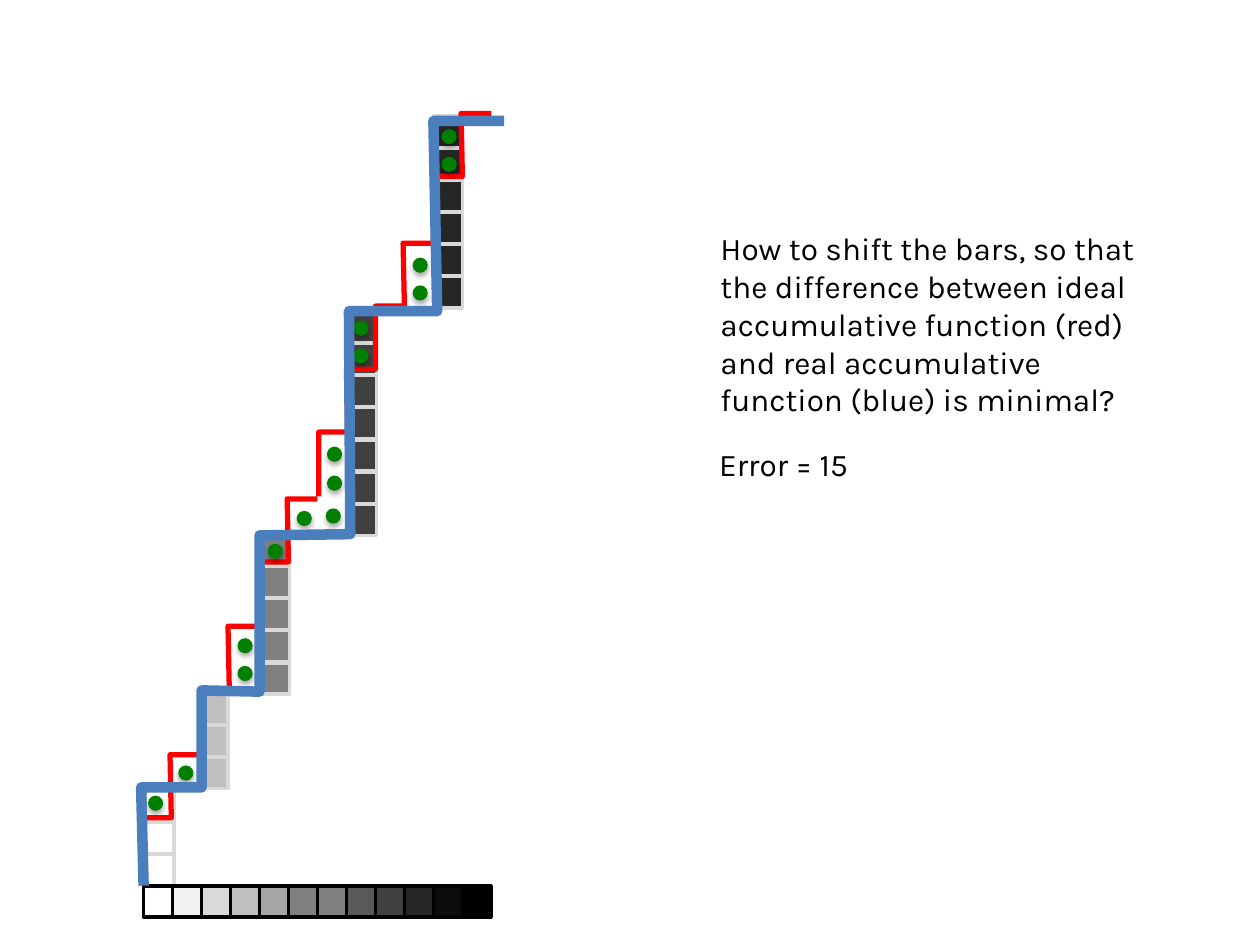
"""Build a slide comparing ideal and real accumulative functions of grey bars."""
from dataclasses import dataclass

from pptx import Presentation
from pptx.dml.color import RGBColor
from pptx.enum.shapes import MSO_SHAPE
from pptx.enum.text import MSO_AUTO_SIZE
from pptx.util import Inches, Pt

RECTANGLE = MSO_SHAPE.RECTANGLE
OVAL = MSO_SHAPE.OVAL
GROW = MSO_AUTO_SIZE.SHAPE_TO_FIT_TEXT


@dataclass
class Theme:
    font: str = "Karla"
    text_size: int = 18
    text: str = "000000"
    cell_line: str = "D9D9D9"
    scale_line: str = "000000"
    ideal: str = "FF0000"
    real: str = "4B7EBC"
    dot: str = "008000"


theme = Theme()
CELL_WIDTH, CELL_HEIGHT, CELL_PITCH = 0.23, 0.25, 0.255
DOT_SIZE = 0.11

deck = Presentation()
deck.slide_width, deck.slide_height = Inches(10), Inches(7.5)
page = deck.slides.add_slide(deck.slide_layouts[6])


def add_cell(left, top, fill, line):
    cell = page.shapes.add_shape(
        RECTANGLE, Inches(left), Inches(top), Inches(CELL_WIDTH), Inches(CELL_HEIGHT)
    )
    cell.shadow.inherit = False
    cell.fill.solid()
    cell.fill.fore_color.rgb = RGBColor.from_string(fill)
    cell.line.color.rgb = RGBColor.from_string(line)
    cell.line.width = Pt(2)


def add_path(points, color, width):
    corners = [(Inches(x), Inches(y)) for x, y in points]
    builder = page.shapes.build_freeform(*corners[0])
    builder.add_line_segments(corners[1:], close=False)
    outline = builder.convert_to_shape()
    outline.shadow.inherit = False
    outline.fill.background()
    outline.line.color.rgb = RGBColor.from_string(color)
    outline.line.width = Pt(width)


bars = [
    (1.15, 6.27, 3, "FFFFFF"),
    (2.07, 4.24, 5, "808080"),
    (1.58, 5.5, 3, "BFBFBF"),
    (2.76, 2.47, 7, "404040"),
    (3.44, 0.92, 6, "262626"),
]
for left, top, count, fill in bars:
    for row in range(count):
        add_cell(left, top + row * CELL_PITCH, fill, theme.cell_line)

greys = [
    "FFFFFF", "F2F2F2", "D9D9D9", "BFBFBF", "A6A6A6", "808080",
    "808080", "595959", "404040", "262626", "0D0D0D", "000000",
]
for column, grey in enumerate(greys):
    add_cell(1.14 + column * CELL_WIDTH, 7.03, grey, theme.scale_line)

ideal_step = [(0, 1.01), (0, 0.5), (0.23, 0.5), (0.22, 0), (0.46, 0)]
ideal_origins = [
    (1.13, 5.99), (1.59, 4.97), (2.06, 3.96), (2.53, 2.93), (2.98, 1.93), (3.44, 0.9),
]
for left, top in ideal_origins:
    add_path([(left + x, top + y) for x, y in ideal_step], theme.ideal, 3)

texts = [
    (5.62, 1.77, 1.62,
     "How to shift the bars, so that the difference between ideal accumulative "
     "function (red) and real accumulative function (blue) is minimal?"),
    (5.61, 3.48, 0.4, "Error = 15"),
]
for left, top, height, words in texts:
    box = page.shapes.add_textbox(Inches(left), Inches(top), Inches(3.54), Inches(height))
    frame = box.text_frame
    frame.word_wrap = True
    frame.auto_size = GROW
    frame.text = words
    font = frame.paragraphs[0].runs[0].font
    font.name = theme.font
    font.size = Pt(theme.text_size)
    font.color.rgb = RGBColor.from_string(theme.text)

error_dots = [
    (1.18, 6.32), (1.42, 6.08), (1.89, 5.29), (1.89, 5.07), (2.13, 4.32),
    (2.81, 2.77), (2.81, 2.55), (2.6, 3.78), (2.6, 3.55), (2.36, 4.06),
    (2.59, 4.04), (3.28, 2.27), (3.28, 2.05), (3.51, 1.25), (3.51, 1.03),
]
for left, top in error_dots:
    dot = page.shapes.add_shape(
        OVAL, Inches(left), Inches(top), Inches(DOT_SIZE), Inches(DOT_SIZE)
    )
    dot.fill.solid()
    dot.fill.fore_color.rgb = RGBColor.from_string(theme.dot)
    dot.line.color.rgb = RGBColor.from_string(theme.dot)
    dot.line.width = Pt(0.75)

real_steps = [
    (1.14, 7.03), (1.12, 6.25), (1.6, 6.25), (1.6, 5.48), (2.06, 5.49), (2.06, 4.25),
    (2.78, 4.24), (2.77, 2.47), (3.47, 2.47), (3.44, 0.96), (4, 0.96),
]
add_path(real_steps, theme.real, 6)

deck.save("out.pptx")
